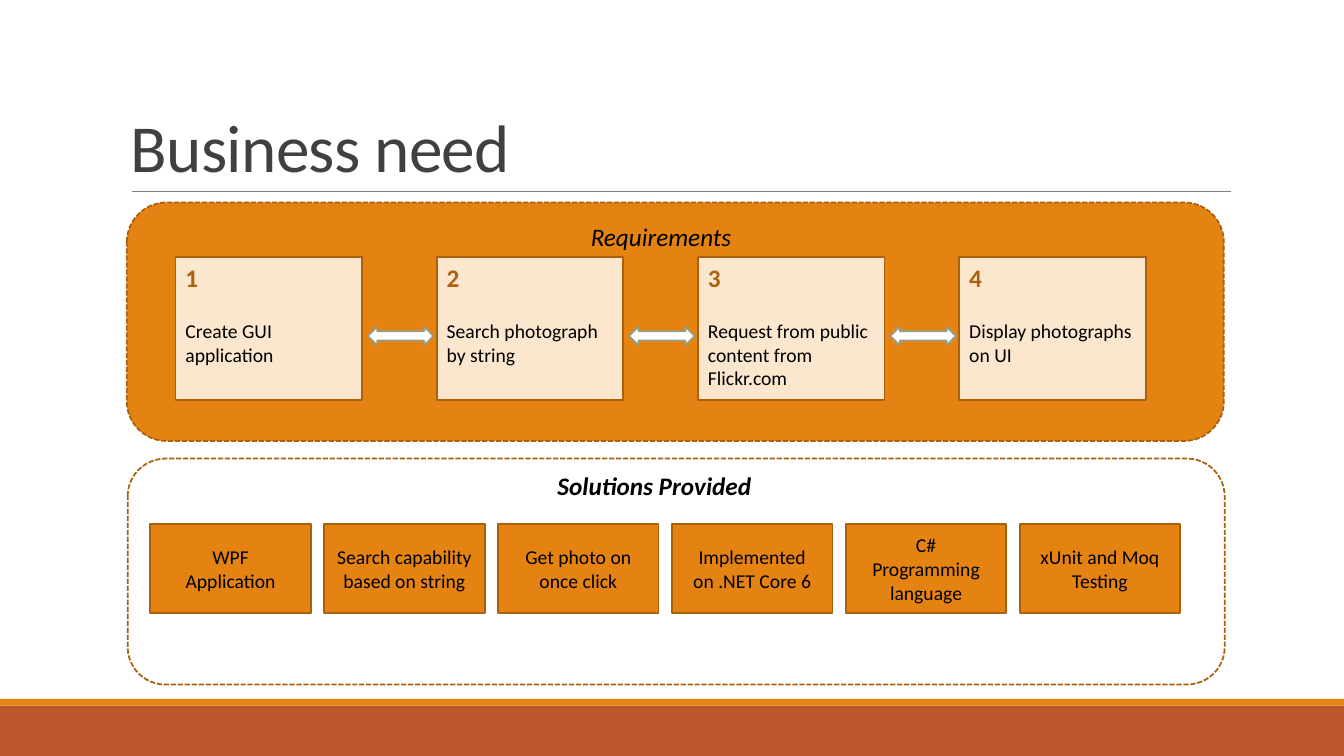
from pptx import Presentation
from pptx.dml.color import RGBColor
from pptx.enum.dml import MSO_LINE as Dash
from pptx.enum.shapes import MSO_CONNECTOR as Link, MSO_SHAPE as Kind
from pptx.enum.text import MSO_ANCHOR as Anchor, PP_ALIGN as Align
from pptx.oxml.ns import qn
from pptx.util import Inches, Pt
from lxml.etree import SubElement

WIDE, HIGH = Inches(13.333), Inches(7.5)
COLS, ROWS = 16, 9
ORANGE, RUST, BROWN, CREAM = "E48312", "BD582C", "A9610D", "FBE6CE"
WHITE, BLACK, GREY, SAGE = "FFFFFF", "000000", "404040", "94A088"


def color(code):
    return RGBColor.from_string(code)


def write(shape, text, size=14, ink=BLACK, bold=False, italic=False,
          align=Align.LEFT, anchor=Anchor.TOP, lead=None, track=None):
    """Fill a shape with text, one paragraph for each line."""
    frame = shape.text_frame
    frame.word_wrap = True
    frame.vertical_anchor = anchor
    for i, line in enumerate(text.split("\n")):
        para = frame.add_paragraph() if i else frame.paragraphs[0]
        para.alignment = align
        if lead:
            para.line_spacing = lead
        run = para.add_run()
        run.text = line
        font = run.font
        font.name, font.size = "Calibri", Pt(size)
        font.bold, font.italic = bold, italic
        font.color.rgb = color(ink)
        if track:
            run._r.get_or_add_rPr().set("spc", str(track))


class Board:
    """A slide laid out on a grid of 16 columns by 9 rows."""

    def __init__(self, deck):
        self.slide = deck.slides.add_slide(deck.slide_layouts[6])

    def place(self, x, y, w, h):
        col, row = WIDE / COLS, HIGH / ROWS
        return [round(n) for n in (x * col, y * row, w * col, h * row)]

    def shape(self, kind, at, fill, line=None, dash=None):
        item = self.slide.shapes.add_shape(kind, *self.place(*at))
        item.shadow.inherit = False
        item.fill.solid()
        item.fill.fore_color.rgb = color(fill)
        if line:
            item.line.color.rgb = color(line)
            item.line.width = Pt(1.25)
            if dash:
                item.line.dash_style = dash
        else:
            item.line.fill.background()
        return item

    def text(self, at, words, **style):
        write(self.slide.shapes.add_textbox(*self.place(*at)), words, **style)

    def rule(self, x, y, w):
        left, top, width, _ = self.place(x, y, w, 0)
        item = self.slide.shapes.add_connector(
            Link.STRAIGHT, left, top, left + width, top)
        item.line.color.rgb = color("808080")
        item.line.width = Pt(0.5)
        SubElement(item._element.spPr, qn("a:effectLst"))

    def panel(self, at, fill):
        self.shape(Kind.ROUNDED_RECTANGLE, at, fill, BROWN, Dash.SQUARE_DOT)

    def card(self, x, y, mark, words):
        self.shape(Kind.RECTANGLE, (x, y, 2.22, 1.7), CREAM, BROWN)
        self.text((x, y, 0.5, 0.48), mark, size=18, ink="AB620D", bold=True)
        self.text((x, y + 0.68, 2.22, 1), words)

    def box(self, x, y, words):
        item = self.shape(Kind.RECTANGLE, (x, y, 1.91, 1.06), ORANGE, BROWN)
        write(item, words, align=Align.CENTER, anchor=Anchor.MIDDLE)

    def arrow(self, x, y):
        self.shape(Kind.LEFT_RIGHT_ARROW, (x, y, 0.78, 0.22), WHITE, SAGE)


def main():
    deck = Presentation()
    deck.slide_width, deck.slide_height = WIDE, HIGH
    board = Board(deck)

    # Footer bands and title
    board.shape(Kind.RECTANGLE, (0, 8.4, COLS, 0.6), RUST)
    board.shape(Kind.RECTANGLE, (0, 8.32, COLS, 0.08), ORANGE)
    board.rule(1.57, 2.28, 13.08)
    board.text((1.44, 0.37, 13.2, 1.91), "Business need", size=48, ink=GREY,
               anchor=Anchor.BOTTOM, lead=0.85, track=-50)

    # Requirements: numbered cards joined by arrows
    board.panel((1.51, 2.41, 13.06, 2.84), ORANGE)
    board.text((2.4, 2.57, 10.94, 0.48), "Requirements", size=18,
               italic=True, align=Align.CENTER)
    needs = ["Create GUI application", "Search photograph by string",
             "Request from public content from Flickr.com",
             "Display photographs\non UI"]
    for i, need in enumerate(needs):
        x = 2.09 + 3.11 * i
        board.card(x, 3.06, str(i + 1), need)
        if i < len(needs) - 1:
            board.arrow(x + 2.29, 3.89)

    # Solutions: a row of boxes
    board.panel((1.52, 5.46, 13.06, 2.69), WHITE)
    board.text((2.32, 5.54, 10.94, 0.48), "Solutions Provided", size=18,
               bold=True, italic=True, align=Align.CENTER)
    answers = ["WPF\nApplication", "Search capability based on string",
               "Get photo on once click", "Implemented on .NET Core 6",
               "C#\nProgramming language", "xUnit and Moq\nTesting"]
    for i, answer in enumerate(answers):
        board.box(1.79 + 2.07 * i, 6.24, answer)

    deck.save("out.pptx")


if __name__ == "__main__":
    main()
